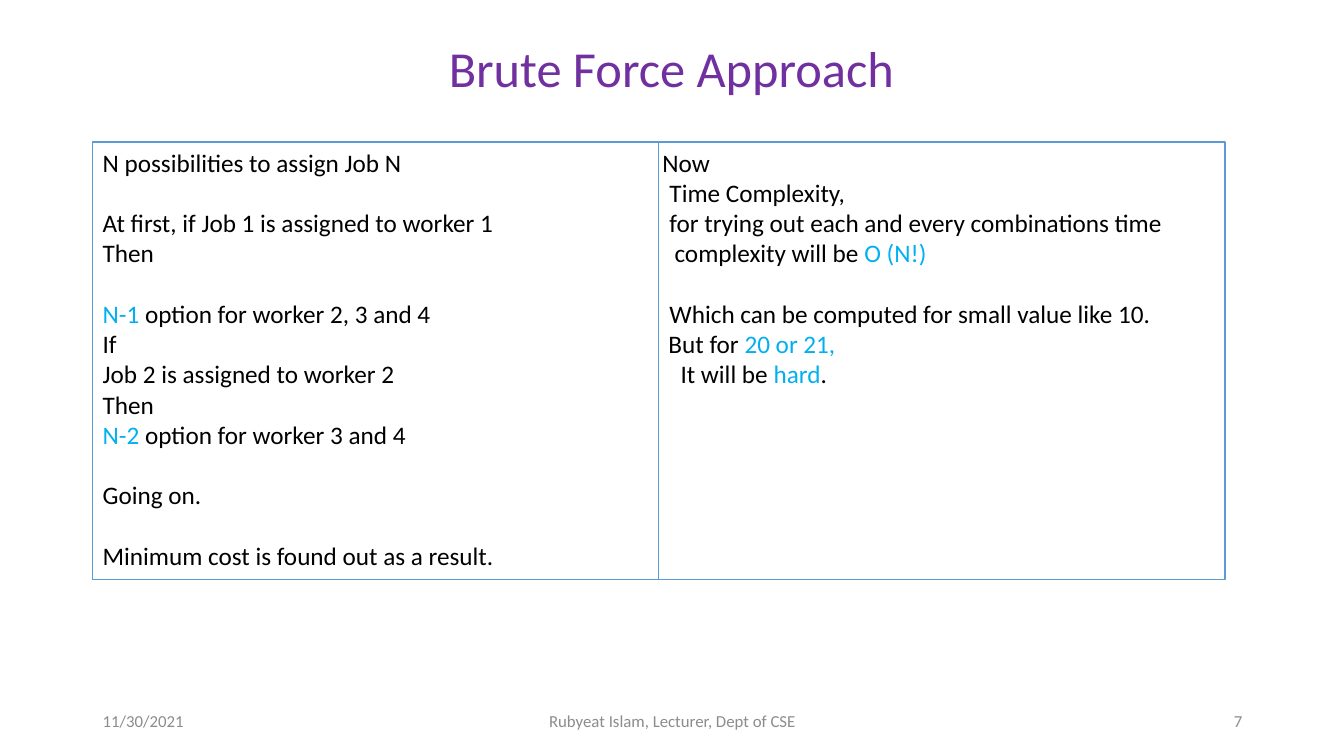
"""Builds the Brute Force Approach slide."""
from lxml import etree
from pptx import Presentation
from pptx import util as u
from pptx.dml.color import RGBColor
from pptx.enum import shapes, text
from pptx.oxml import ns

COLORS = {"white": "FFFFFF", "black": "000000", "purple": "7030A0",
          "accent": "00B0F0", "border": "5B9BD5", "grey": "8C8C8C"}
FONT = "Calibri"
LINE_PITCH = 21.6
BOX_LEFT, BOX_TOP, BOX_WIDTH, BOX_HEIGHT = 0.92, 1.41, 11.23, 4.34
DIVIDER_X = 6.53

# Each line: (runs, blank lines above, indent in inches); a run is (text, color).
STEPS = [
    ([("N possibilities to assign Job N", "black")], 0, 0),
    ([("At first, if Job 1 is assigned to worker 1", "black")], 1, 0),
    ([("Then", "black")], 0, 0),
    ([("N-1", "accent"), (" option for worker 2, 3 and 4", "black")], 1, 0),
    ([("If", "black")], 0, 0),
    ([("Job 2 is assigned to worker 2", "black")], 0, 0),
    ([("Then", "black")], 0, 0),
    ([("N-2", "accent"), (" option for worker 3 and 4", "black")], 0, 0),
    ([("Going on.", "black")], 1, 0),
    ([("Minimum cost is found out as a result.", "black")], 1, 0),
]
COMPLEXITY = [
    ([("Now", "black")], 0, 0),
    ([("Time Complexity,", "black")], 0, 0.07),
    ([("for trying out each and every combinations time", "black")], 0, 0.07),
    ([("complexity will be ", "black"), ("O (N!)", "accent")], 0, 0.12),
    ([("Which can be computed for small value like 10.", "black")], 1, 0.07),
    ([("But for ", "black"), ("20 or 21,", "accent")], 0, 0.06),
    ([("It will be ", "black"), ("hard", "accent"), (".", "black")], 0, 0.18),
]
FOOTERS = [
    ("11/30/2021", 0.92, 3, text.PP_ALIGN.LEFT),
    ("Rubyeat Islam, Lecturer, Dept of CSE", 4.42, 4.5, text.PP_ALIGN.CENTER),
    ("7", 9.42, 3, text.PP_ALIGN.RIGHT),
]


def rgb(name):
    """Return the named color."""
    return RGBColor.from_string(COLORS[name])


def add_run(p, words, size=18, color="black"):
    """Add formatted text to a paragraph."""
    r = p.add_run()
    r.text = words
    r.font.name = FONT
    r.font.size = u.Pt(size)
    r.font.color.rgb = rgb(color)


def set_frame(tf, anchor=text.MSO_ANCHOR.TOP, left_inset=0.1):
    """Prepare a text frame that wraps and keeps its size."""
    tf.word_wrap = True
    tf.auto_size = text.MSO_AUTO_SIZE.NONE
    tf.vertical_anchor = anchor
    tf.margin_left = u.Inches(left_inset)


def fill_lines(tf, lines):
    """Write lines with their gaps and indents into a text frame."""
    for i, (runs, gap, indent) in enumerate(lines):
        p = tf.paragraphs[0] if i == 0 else tf.add_paragraph()
        p.alignment = text.PP_ALIGN.LEFT
        p.space_before = u.Pt(gap * LINE_PITCH)
        p._p.get_or_add_pPr().set("marL", str(u.Inches(indent)))
        for words, color in runs:
            add_run(p, words, color=color)


def add_title(s, words):
    """Place and format the slide title."""
    sp = s.shapes.title
    sp.left, sp.top = u.Inches(0.44), u.Inches(0.32)
    sp.width, sp.height = u.Inches(12.44), u.Inches(0.71)
    set_frame(sp.text_frame)
    p = sp.text_frame.paragraphs[0]
    p.alignment = text.PP_ALIGN.CENTER
    add_run(p, words, size=36, color="purple")


def add_footer(s, words, left, width, align):
    """Add one footer entry."""
    sp = s.shapes.add_textbox(u.Inches(left), u.Inches(6.95),
                              u.Inches(width), u.Inches(0.4))
    set_frame(sp.text_frame, anchor=text.MSO_ANCHOR.MIDDLE)
    p = sp.text_frame.paragraphs[0]
    p.alignment = align
    add_run(p, words, size=12, color="grey")


def add_steps_box(s):
    """Add the bordered box holding the steps."""
    sp = s.shapes.add_shape(shapes.MSO_SHAPE.RECTANGLE,
                            u.Inches(BOX_LEFT), u.Inches(BOX_TOP),
                            u.Inches(BOX_WIDTH), u.Inches(BOX_HEIGHT))
    sp.shadow.inherit = False
    sp.fill.solid()
    sp.fill.fore_color.rgb = rgb("white")
    sp.line.color.rgb = rgb("border")
    sp.line.width = u.Pt(1)
    set_frame(sp.text_frame)
    fill_lines(sp.text_frame, STEPS)


def add_complexity(s):
    """Add the text right of the divider."""
    width = BOX_LEFT + BOX_WIDTH - DIVIDER_X
    sp = s.shapes.add_textbox(u.Inches(DIVIDER_X), u.Inches(BOX_TOP),
                              u.Inches(width), u.Inches(BOX_HEIGHT))
    set_frame(sp.text_frame, left_inset=0.04)
    fill_lines(sp.text_frame, COMPLEXITY)


def add_divider(s):
    """Add the vertical line splitting the box."""
    x = u.Inches(DIVIDER_X)
    line = s.shapes.add_connector(shapes.MSO_CONNECTOR.STRAIGHT,
                                  x, u.Inches(BOX_TOP),
                                  x, u.Inches(BOX_TOP + BOX_HEIGHT))
    line.line.color.rgb = rgb("border")
    line.line.width = u.Pt(0.5)
    etree.SubElement(line._element.spPr, ns.qn("a:effectLst"))


def main():
    """Build and save the slide."""
    prs = Presentation()
    prs.slide_width, prs.slide_height = u.Inches(13.33), u.Inches(7.5)
    s = prs.slides.add_slide(prs.slide_layouts[5])
    add_title(s, "Brute Force Approach")
    for footer in FOOTERS:
        add_footer(s, *footer)
    add_steps_box(s)
    add_complexity(s)
    add_divider(s)
    prs.save("out.pptx")


if __name__ == "__main__":
    main()
